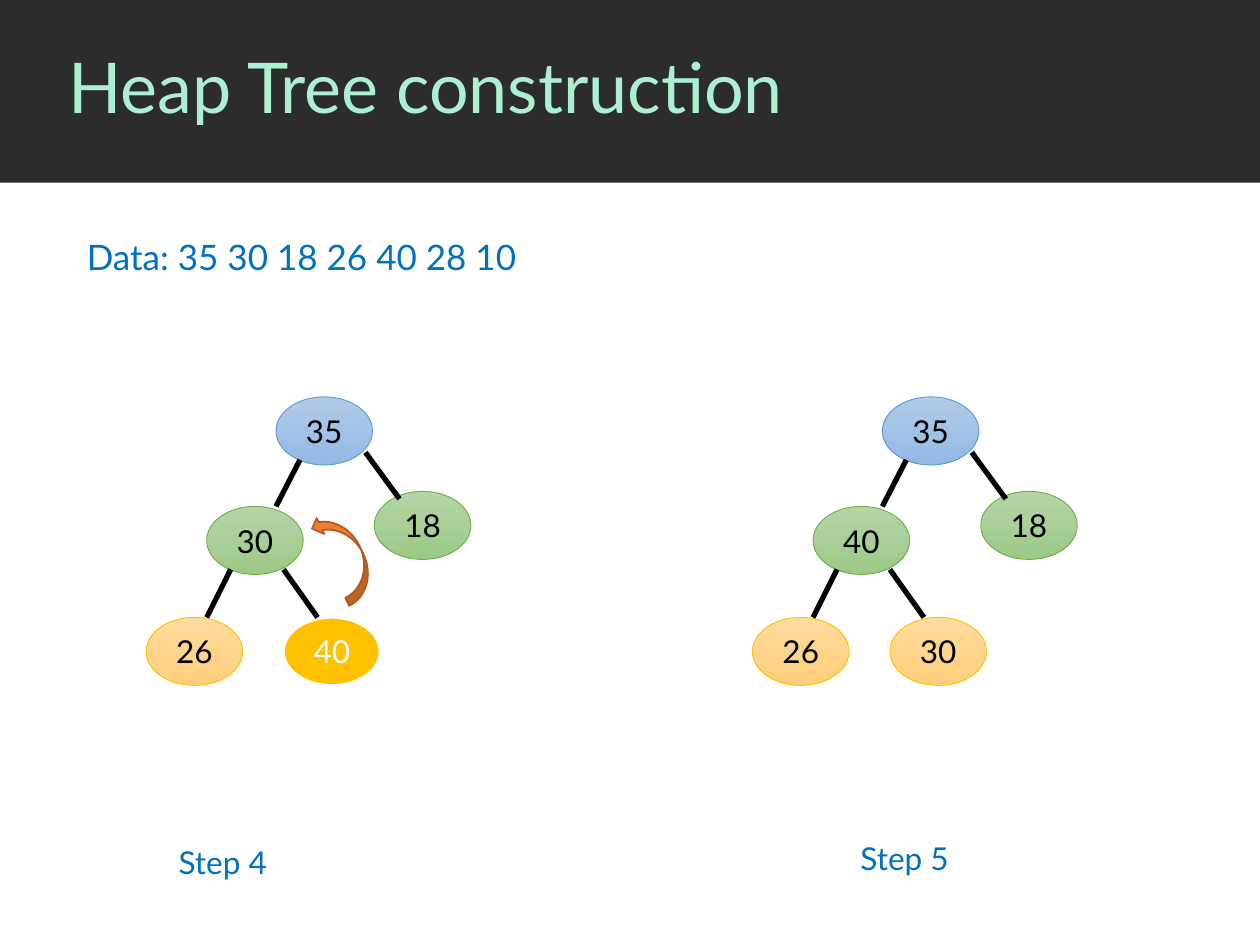
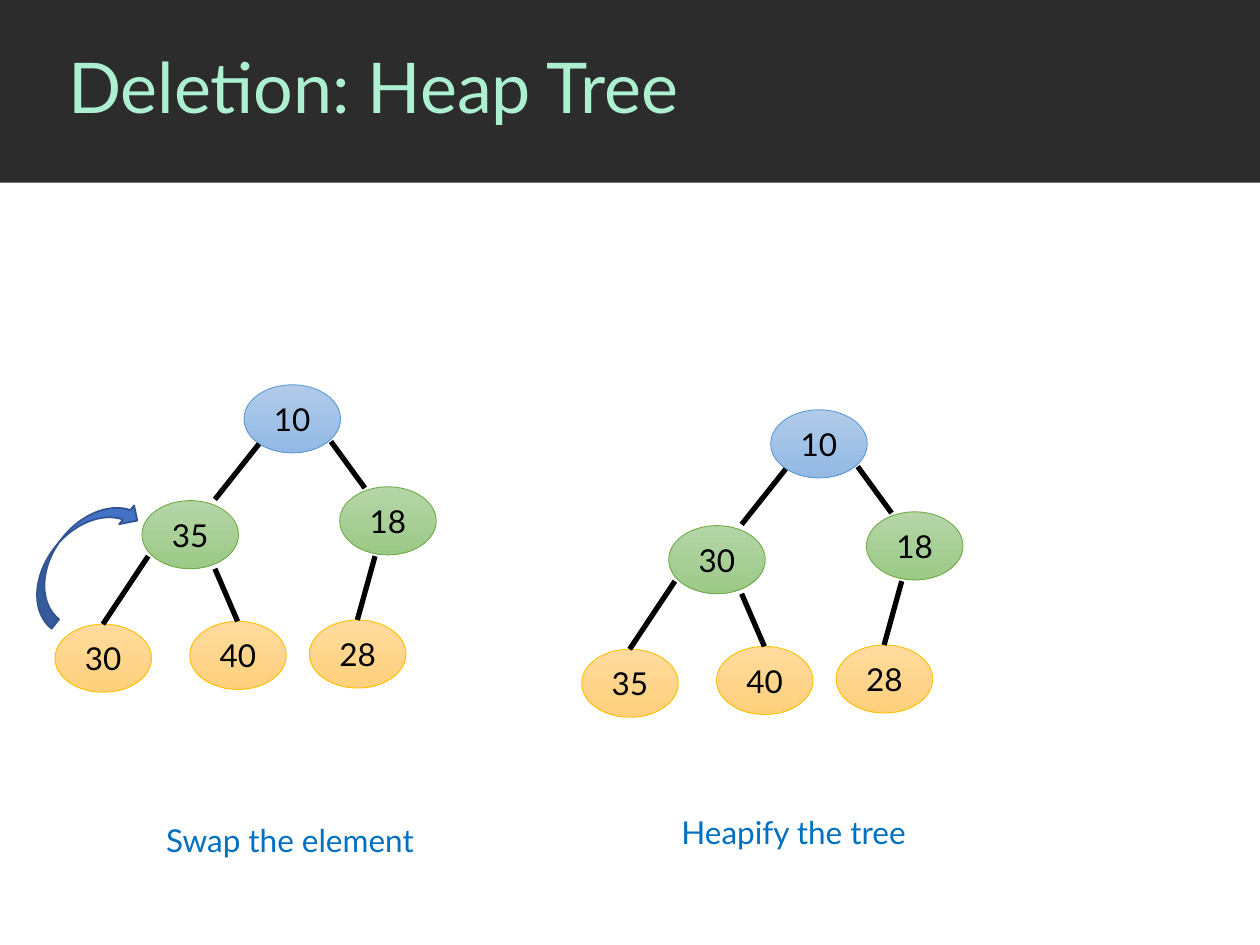
"""Build two slides that show heap trees before and after a swap."""
from lxml import etree
from pptx import Presentation, dml, util as u
from pptx.dml import color
from pptx.enum import shapes, text
from pptx.oxml import ns

Pt = u.Pt
FONT = "Lato"
BAND, MINT, BLUE = "2C2C2C", "ADF0D1", "0070C0"
NODE_W, NODE_H = 55.2, 38.9
ROOT = ("B1CBE9", "93B9E4", "5B9BD5")
MID = ("B5D5A7", "9CC987", "70AD47")
LEAF = ("FFDB9E", "FFD07C", "FFC000")


def rgb(code):
    return color.RGBColor.from_string(code)


def style(par, size, tint):
    par.font.name = FONT
    par.font.size = Pt(size)
    par.font.color.rgb = rgb(tint)


build = {
    "nodes": [(0, 0, ROOT), (-39.6, 62.6, MID), (56.2, 54, MID),
              (-74.2, 126, LEAF), (4.3, 126, LEAF)],
    "edges": [(13.7, 36, 0, 62.6), (51.1, 31.7, 70.6, 58.3),
              (-25.9, 98.6, -39.6, 126), (4.3, 98.6, 23.8, 126)],
}
drop = {
    "nodes": [(0, 0, ROOT), (-58.3, 66.2, MID), (54.7, 58.3, MID),
              (-108, 136.8, LEAF), (-31, 135.2, LEAF), (37.4, 134.4, LEAF)],
    "edges": [(8.6, 33.8, -16.6, 65.5), (49.7, 32.4, 69.1, 59),
              (-54.7, 97.9, -80.6, 136.8), (-16.6, 105.1, -3.6, 135.2),
              (74.9, 97.9, 64.8, 134.4)],
}
kinds = shapes.MSO_SHAPE
pages = [
    {"title": "Heap Tree construction", "plan": build,
     "trees": [(157.7, 226.8, [35, 30, 18, 26, 40], 4),
               (504.2, 226.8, [35, 40, 18, 26, 30], None)],
     "notes": [("Data: 35 30 18 26 40 28 10", 42.5, 131, 387.4, 20),
               ("Step 4", 95, 478.1, 74.9, 18),
               ("Step 5", 484.6, 475.9, 74.9, 18)],
     "arrow": (kinds.CURVED_UP_ARROW, 169.9, 307.4, 54, 20.2, 244.3,
               "ED7D31", "AF5C24")},
    {"title": "Deletion: Heap Tree", "plan": drop,
     "trees": [(139.4, 219.9, [10, 35, 18, 30, 40, 28], None),
               (440.4, 234.2, [10, 30, 18, 35, 40, 28], None)],
     "notes": [("Swap the element", 87.8, 465.8, 164.2, 18),
               ("Heapify the tree", 382.3, 460.8, 146.9, 18)],
     "arrow": (kinds.CURVED_LEFT_ARROW, 31.7, 274.3, 27.4, 85.7, 218.4,
               "4472C4", "325491")},
]

deck = Presentation()
deck.slide_width, deck.slide_height = Pt(720), Pt(540)
frame = deck.slide_layouts[5]
head = frame.placeholders[0]
head.left, head.top, head.width, head.height = Pt(31.7), Pt(0), Pt(688.3), Pt(103.7)

for num, page in enumerate(pages):
    slide = deck.slides.add_slide(frame)
    if num == 0:
        band = slide.shapes.add_shape(kinds.RECTANGLE, 0, 0, Pt(720), Pt(104.4))
        band.shadow.inherit = False
        band.fill.solid()
        band.fill.fore_color.rgb = rgb(BAND)
        band.line.fill.background()
        band._element.nvSpPr.cNvPr.set("id", "20")
        frame.shapes._spTree.insert(2, band._element)

    title = slide.shapes.title.text_frame
    title.text = page["title"]
    title.vertical_anchor = text.MSO_ANCHOR.MIDDLE
    par = title.paragraphs[0]
    par.alignment = text.PP_ALIGN.LEFT
    par.line_spacing = 0.9
    style(par, 40, MINT)

    for left, top, keys, hot in page["trees"]:
        for pos, (key, spot) in enumerate(zip(keys, page["plan"]["nodes"])):
            dx, dy, (light, dark, edge) = spot
            node = slide.shapes.add_shape(kinds.OVAL, Pt(left + dx), Pt(top + dy),
                                          Pt(NODE_W), Pt(NODE_H))
            node.shadow.inherit = False
            if pos == hot:
                node.fill.solid()
                node.fill.fore_color.rgb = rgb(edge)
                edge, width, ink = "FFFFFF", 1.5, "FFFFFF"
            else:
                node.fill.gradient()
                node.fill.gradient_angle = 270
                for stop, tint in zip(node.fill.gradient_stops, (light, dark)):
                    stop.color.rgb = rgb(tint)
                width, ink = 0.5, "000000"
            node.line.color.rgb = rgb(edge)
            node.line.width = Pt(width)
            node.text_frame.text = str(key)
            node.text_frame.vertical_anchor = text.MSO_ANCHOR.MIDDLE
            par = node.text_frame.paragraphs[0]
            par.alignment = text.PP_ALIGN.CENTER
            style(par, 18, ink)
        for x1, y1, x2, y2 in page["plan"]["edges"]:
            link = slide.shapes.add_connector(
                shapes.MSO_CONNECTOR.STRAIGHT, Pt(left + x1), Pt(top + y1),
                Pt(left + x2), Pt(top + y2))
            link.line.color.rgb = rgb("000000")
            link.line.width = Pt(3)
            etree.SubElement(link._element.spPr, ns.qn("a:effectLst"))

    kind, left, top, width, height, turn, fill, edge = page["arrow"]
    arrow = slide.shapes.add_shape(kind, Pt(left), Pt(top), Pt(width), Pt(height))
    arrow.shadow.inherit = False
    arrow.rotation = turn
    arrow.fill.solid()
    arrow.fill.fore_color.rgb = rgb(fill)
    arrow.line.color.rgb = rgb(edge)
    arrow.line.width = Pt(1)

    for words, left, top, width, size in page["notes"]:
        note = slide.shapes.add_textbox(Pt(left), Pt(top), Pt(width), Pt(size + 11))
        note.text_frame.word_wrap = True
        note.text_frame.text = words
        style(note.text_frame.paragraphs[0], size, BLUE)

deck.save("out.pptx")
